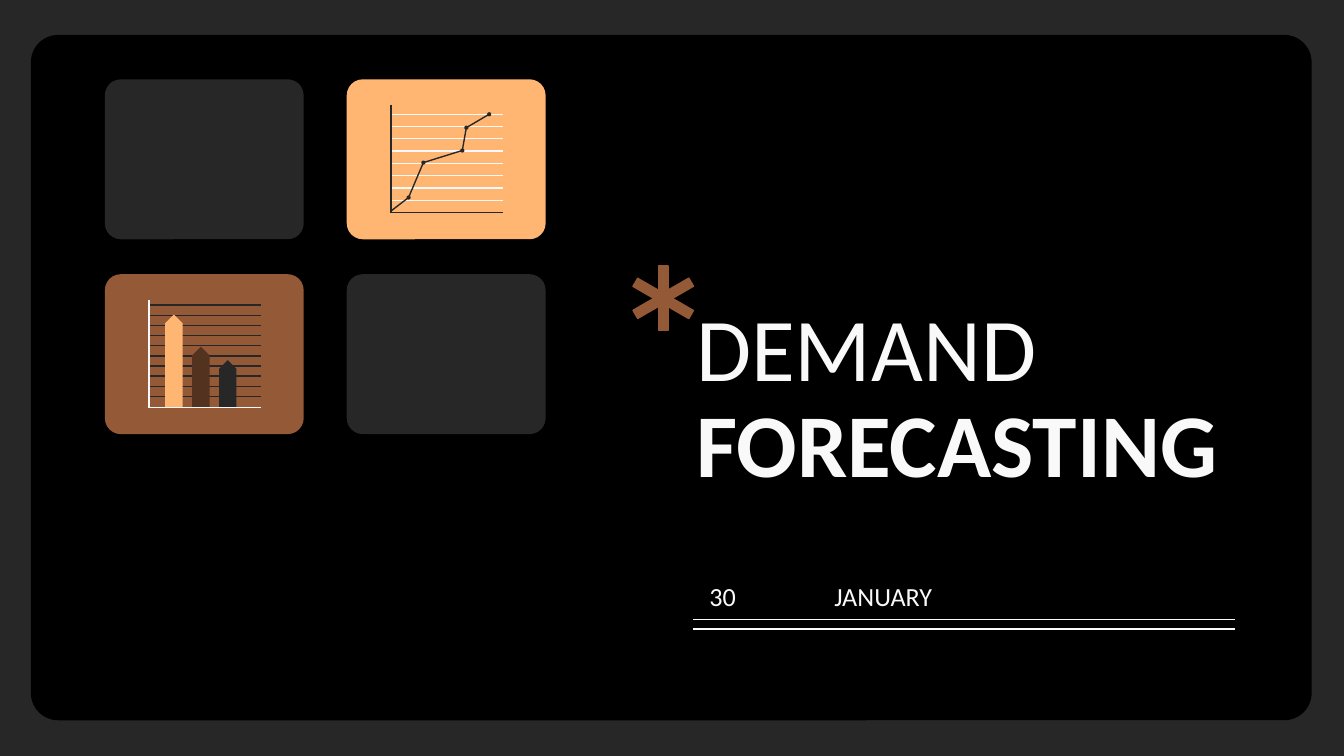
import pptx
import pptx.dml.color
import pptx.enum.shapes
import pptx.enum.text
import pptx.oxml.ns
import pptx.util
import lxml.etree
import itertools

SLIDE_WIDTH = 10
SLIDE_HEIGHT = SLIDE_WIDTH * 9 / 16
COLUMNS = (0.78, 2.58)
ROWS = (0.59, 2.04)
CARD_WIDTH, CARD_HEIGHT = 1.48, 1.19
CHART_INSET, CHART_WIDTH = 0.32, 0.84
AXIS_TOP, AXIS_BOTTOM = 0.19, 0.99
COLORS = {
    "background": "272727",
    "panel": "000000",
    "light": "F9F9F9",
    "orange": "FFB673",
    "brown": "945937",
    "dark_brown": "53321F",
}
SHAPES = pptx.enum.shapes.MSO_SHAPE
ALIGN = pptx.enum.text.PP_ALIGN


def color(name):
    return pptx.dml.color.RGBColor.from_string(COLORS[name])


def inches(*lengths):
    return [pptx.util.Inches(length) for length in lengths]


def add_block(slide, kind, box, fill, adjustments=(), outlined=False, rotation=0):
    shape = slide.shapes.add_shape(kind, *inches(*box))
    shape.shadow.inherit = False
    shape.fill.solid()
    shape.fill.fore_color.rgb = color(fill)
    if outlined:
        shape.line.color.rgb = color(fill)
        shape.line.width = pptx.util.Pt(0.75)
    else:
        shape.line.fill.background()
    for index, value in enumerate(adjustments):
        shape.adjustments[index] = value
    shape.rotation = rotation


def add_line(slide, start, end, name):
    line = slide.shapes.add_connector(
        pptx.enum.shapes.MSO_CONNECTOR.STRAIGHT, *inches(*start, *end))
    line.line.color.rgb = color(name)
    line.line.width = pptx.util.Pt(0.75)
    lxml.etree.SubElement(line._element.spPr, pptx.oxml.ns.qn("a:effectLst"))


def set_text(shape, box, runs, size, line_spacing=1.0):
    shape.left, shape.top, shape.width, shape.height = inches(*box)
    frame = shape.text_frame
    frame.word_wrap = True
    frame.auto_size = pptx.enum.text.MSO_AUTO_SIZE.NONE
    frame.vertical_anchor = pptx.enum.text.MSO_ANCHOR.BOTTOM
    frame.margin_left = frame.margin_right = pptx.util.Inches(0.1)
    frame.margin_top = frame.margin_bottom = pptx.util.Inches(0.1)
    paragraph = frame.paragraphs[0]
    paragraph.alignment = ALIGN.LEFT
    paragraph.line_spacing = line_spacing
    for text, bold in runs:
        run = paragraph.add_run()
        run.text = text
        run.font.name = "Calibri"
        run.font.size = pptx.util.Pt(size)
        run.font.bold = bold
        run.font.color.rgb = color("light")


def add_title(slide):
    title = slide.shapes.title
    title._element.getparent().append(title._element)
    set_text(title, (5.08, 1.83, 4.63, 1.97),
             [("DEMAND ", False), ("FORECASTING", True)], 48, line_spacing=0.9)


def add_date(slide):
    for text, left, width in (("30", 5.18, 0.45), ("JANUARY", 6.11, 1.16)):
        box = (left, 4.38, width, 0.27)
        set_text(slide.shapes.add_textbox(*inches(*box)), box, [(text, False)], 14)
    for y in (4.61, 4.68):
        add_line(slide, (9.19, y), (5.16, y), "light")


def add_asterisk(slide):
    for rotation in (0, 300, 60):
        add_block(slide, SHAPES.RECTANGLE, (4.9, 1.98, 0.07, 0.48), "brown",
                  outlined=True, rotation=rotation)


def add_grid_lines(slide, column, row, first, last, count, name):
    left = column + CHART_INSET
    for index in range(count):
        y = row + first + (last - first) * index / (count - 1)
        add_line(slide, (left, y), (left + CHART_WIDTH, y), name)


def add_axes(slide, column, row, name):
    left, bottom = column + CHART_INSET, row + AXIS_BOTTOM
    add_line(slide, (left, bottom), (left + CHART_WIDTH, bottom), name)
    add_line(slide, (left + 0.01, row + AXIS_TOP), (left + 0.01, bottom), name)


def add_trend_icon(slide):
    column, row = COLUMNS[1], ROWS[0]
    add_grid_lines(slide, column, row, 0.26, 0.9, 8, "light")
    add_axes(slide, column, row, "background")
    points = [(2.91, 1.57), (3.04, 1.47), (3.15, 1.21),
              (3.44, 1.12), (3.47, 0.95), (3.64, 0.85)]
    for x, y in points[1:]:
        add_block(slide, SHAPES.OVAL, (x - 0.01, y - 0.01, 0.02, 0.02),
                  "background", outlined=True)
    for start, end in itertools.pairwise(points):
        add_line(slide, start, end, "background")


def add_bar_icon(slide):
    column, row = COLUMNS[0], ROWS[1]
    add_grid_lines(slide, column, row, 0.23, 0.91, 10, "background")
    bars = ((0.69, "orange"), (0.45, "dark_brown"), (0.35, "background"))
    for index, (height, fill) in enumerate(bars):
        box = (column + 0.45 + 0.2 * index, row + AXIS_BOTTOM - height, 0.13, height)
        add_block(slide, SHAPES.SNIP_2_SAME_RECTANGLE, box, fill, adjustments=(0.5, 0))
    add_axes(slide, column, row, "light")


def add_cards(slide):
    fills = ("background", "orange", "brown", "background")
    for (row, column), fill in zip(itertools.product(ROWS, COLUMNS), fills):
        add_block(slide, SHAPES.ROUNDED_RECTANGLE,
                  (column, row, CARD_WIDTH, CARD_HEIGHT), fill, adjustments=(0.1,))


def main():
    presentation = pptx.Presentation()
    presentation.slide_width, presentation.slide_height = inches(SLIDE_WIDTH, SLIDE_HEIGHT)
    slide = presentation.slides.add_slide(presentation.slide_layouts[5])
    slide.background.fill.solid()
    slide.background.fill.fore_color.rgb = color("background")
    add_block(slide, SHAPES.ROUNDED_RECTANGLE, (0.23, 0.26, 9.53, 5.1), "panel",
              adjustments=(0.04,))
    add_cards(slide)
    add_title(slide)
    add_asterisk(slide)
    add_date(slide)
    add_trend_icon(slide)
    add_bar_icon(slide)
    presentation.save("out.pptx")


if __name__ == "__main__":
    main()
